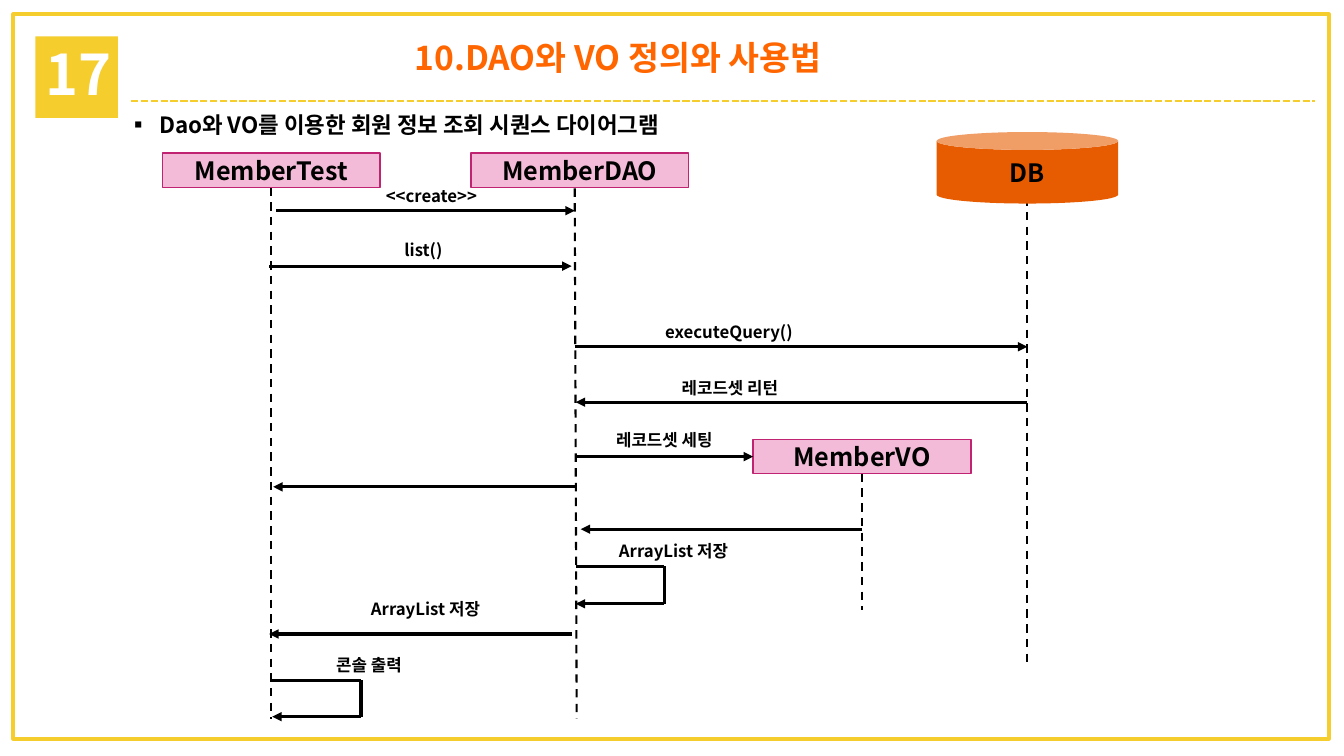
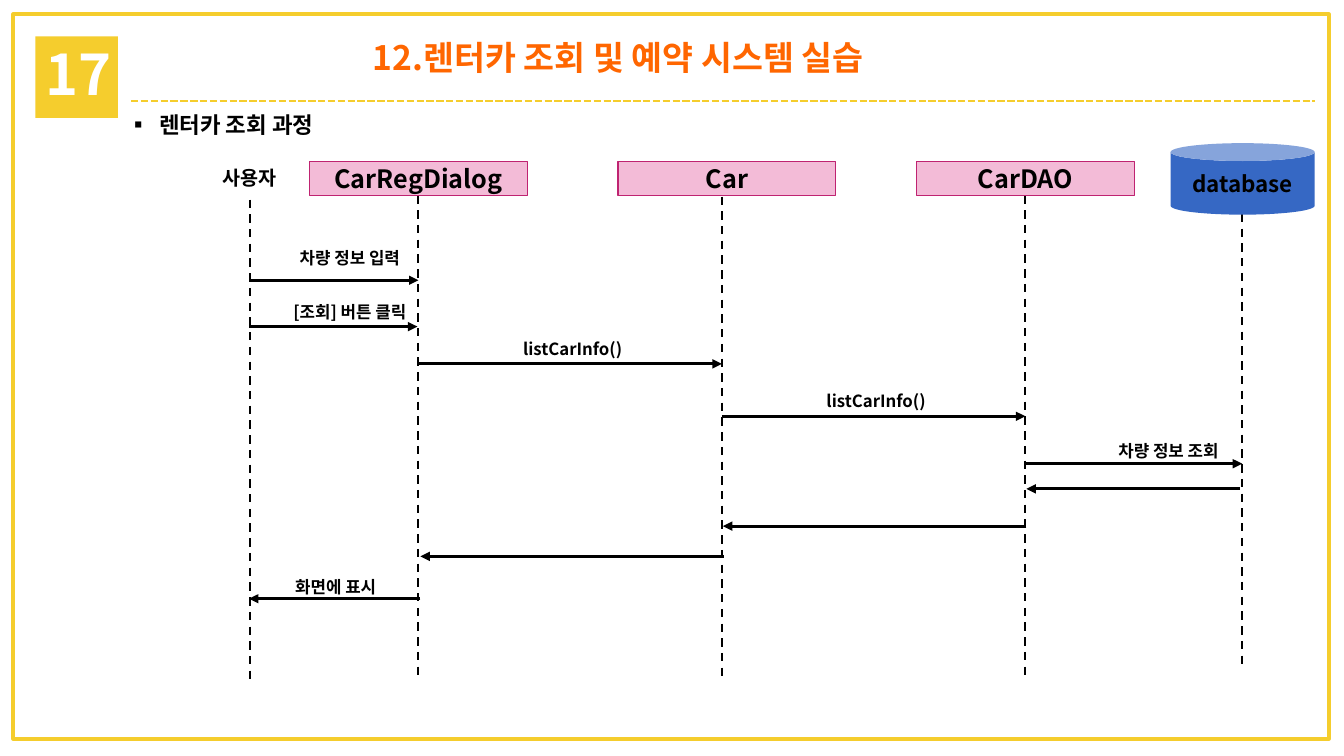
from lxml import etree
from pptx import Presentation
from pptx.dml.color import RGBColor
from pptx.enum.dml import MSO_LINE_DASH_STYLE as Dash
from pptx.enum.shapes import MSO_CONNECTOR as Connector, MSO_SHAPE as Preset
from pptx.enum.text import MSO_ANCHOR as Anchor, MSO_AUTO_SIZE as AutoSize, PP_ALIGN as Align
from pptx.oxml.ns import qn
from pptx.util import Inches, Pt

COLORS = {
    "yellow": "F5CD2D", "title": "FF6600", "black": "000000", "white": "FFFFFF",
    "pink": "F3BBD7", "magenta": "BF2371", "orange": "E75C01", "blue": "3668C4",
}
FONT = "Noto Sans CJK KR"
CHAPTER = "17"
BOX_WIDTH, BOX_HEIGHT = 2.16, 0.34
CAN_HEIGHT = 0.71
LABEL_WIDTH, LABEL_HEIGHT = 2.96, 0.3
LOOP_WIDTH = 0.88
TOLERANCE = 0.011

# boxes: name, left, top, lifeline start, lifeline end
# cans: name, left, top, width, color, text size, lifeline start, lifeline end
# messages: from x, to x, y, label, label left, label top
# self_calls: x, top, bottom, label, label left, label top
DIAGRAMS = [
    {
        "title": "10.DAO와 VO 정의와 사용법",
        "bullet": "Dao와 VO를 이용한 회원 정보 조회 시퀀스 다이어그램",
        "boxes": [
            ("MemberTest", 1.61, 1.52, (2.69, 1.87), (2.69, 7.13)),
            ("MemberDAO", 4.67, 1.52, (5.7, 1.87), (5.72, 7.13)),
            ("MemberVO", 7.47, 4.36, (8.55, 4.7), (8.55, 6.05)),
        ],
        "cans": [("DB", 9.29, 1.31, 1.8, "orange", 18, (10.19, 1.81), (10.19, 6.6))],
        "actors": [],
        "messages": [
            (2.74, 5.7, 2.09, "<<create>>", 2.8, 1.79),
            (2.67, 5.67, 2.64, "list()", 2.72, 2.33),
            (5.7, 10.19, 3.44, "executeQuery()", 5.75, 3.14),
            (10.19, 5.71, 3.99, "레코드셋 리턴", 5.76, 3.7),
            (5.71, 7.47, 4.53, "레코드셋 세팅", 5.11, 4.21),
            (5.72, 2.71, 4.83, None, None, None),
            (8.55, 5.76, 5.25, None, None, None),
            (5.67, 2.67, 6.29, "ArrayList 저장", 2.74, 5.89),
        ],
        "self_calls": [
            (5.71, 5.62, 5.99, "ArrayList 저장", 5.2, 5.32),
            (2.7, 6.75, 7.11, "콘솔 출력", 2.18, 6.45),
        ],
    },
    {
        "title": "12.렌터카 조회 및 예약 시스템 실습",
        "bullet": "렌터카 조회 과정",
        "boxes": [
            ("CarRegDialog", 3.07, 1.6, (4.15, 1.95), (4.15, 6.74)),
            ("Car", 6.13, 1.6, (7.16, 1.95), (7.16, 6.74)),
            ("CarDAO", 9.09, 1.6, (10.17, 1.94), (10.17, 6.73)),
        ],
        "cans": [("database", 11.61, 1.42, 1.43, "blue", 16, (12.32, 1.83), (12.32, 6.62))],
        "actors": [("사용자", 1.77, 1.6, (2.48, 1.98), (2.48, 6.77))],
        "messages": [
            (2.48, 4.15, 2.78, "차량 정보 입력", 1.99, 2.41),
            (2.47, 4.14, 3.24, "[조회] 버튼 클릭", 1.99, 2.94),
            (4.15, 7.16, 3.61, "listCarInfo()", 4.2, 3.31),
            (7.16, 10.17, 4.13, "listCarInfo()", 7.21, 3.83),
            (10.18, 12.32, 4.6, "차량 정보 조회", 10.11, 4.32),
            (12.3, 10.18, 4.85, None, None, None),
            (10.18, 7.17, 5.22, None, None, None),
            (7.18, 4.17, 5.52, None, None, None),
            (4.17, 2.47, 5.94, "화면에 표시", 1.85, 5.67),
        ],
        "self_calls": [],
    },
]


def rgb(name):
    return RGBColor.from_string(COLORS[name])


def write(shape, text, size, color="black", align=Align.CENTER):
    shape.text_frame.text = text
    paragraph = shape.text_frame.paragraphs[0]
    paragraph.alignment = align
    for run in paragraph.runs:
        run.font.name = FONT
        run.font.size = Pt(size)
        run.font.bold = True
        run.font.color.rgb = rgb(color)
        latin = run.font._element.find(qn("a:latin"))
        east_asian = etree.Element(qn("a:ea"), typeface=FONT)
        latin.addnext(east_asian)
    return paragraph


def add_text(slide, text, left, top, width, height, size, color="black", align=Align.CENTER):
    box = slide.shapes.add_textbox(Inches(left), Inches(top), Inches(width), Inches(height))
    box.text_frame.word_wrap = True
    box.text_frame.auto_size = AutoSize.SHAPE_TO_FIT_TEXT
    return write(box, text, size, color, align)


def add_shape(slide, preset, left, top, width, height, fill=None, line=None, weight=1):
    shape = slide.shapes.add_shape(preset, Inches(left), Inches(top), Inches(width), Inches(height))
    shape.shadow.inherit = False
    if fill:
        shape.fill.solid()
        shape.fill.fore_color.rgb = rgb(fill)
    else:
        shape.fill.background()
    if line:
        shape.line.color.rgb = rgb(line)
        shape.line.width = Pt(weight)
    else:
        shape.line.fill.background()
    shape.text_frame.vertical_anchor = Anchor.MIDDLE
    return shape


def add_line(slide, start, end, weight=2.25, color="black", dash=None, arrow=False):
    line = slide.shapes.add_connector(Connector.STRAIGHT, *map(Inches, (*start, *end)))
    line.line.color.rgb = rgb(color)
    line.line.width = Pt(weight)
    if dash:
        line.line.dash_style = dash
    if arrow:
        etree.SubElement(line.line._get_or_add_ln(), qn("a:tailEnd"), type="triangle")
    etree.SubElement(line._element.spPr, qn("a:effectLst"))
    return line


def add_lifeline(slide, start, end):
    return add_line(slide, start, end, 1.5, dash=Dash.DASH)


def add_label(slide, text, left, top):
    if text:
        add_text(slide, text, left, top, LABEL_WIDTH, LABEL_HEIGHT, 12)


def add_bullet(slide, text):
    paragraph = add_text(slide, text, 1.17, 1.05, 10.48, 0.37, 16, align=Align.LEFT)
    properties = paragraph._p.get_or_add_pPr()
    properties.set("marL", str(Inches(0.31)))
    properties.set("indent", str(-Inches(0.31)))
    etree.SubElement(properties, qn("a:buFont"), typeface=FONT)
    etree.SubElement(properties, qn("a:buChar"), char="▪")


def add_page(slide, title):
    add_shape(slide, Preset.RECTANGLE, 0.13, 0.14, 13.05, 7.19, line="yellow", weight=2.5)
    add_shape(slide, Preset.RECTANGLE, 0.35, 0.36, 0.82, 0.81, fill="yellow")
    add_text(slide, CHAPTER, 0.35, 0.34, 0.97, 0.77, 40, "white", Align.LEFT)
    add_line(slide, (1.3, 1), (13.04, 1), 1.75, "yellow", Dash.SQUARE_DOT)
    add_text(slide, title, 1.43, 0.32, 9.4, 0.5, 24, "title")


def add_participants(slide, diagram):
    left_sides = []
    for name, left, top, start, end in diagram["boxes"]:
        lifeline = add_lifeline(slide, start, end)
        box = add_shape(slide, Preset.RECTANGLE, left, top, BOX_WIDTH, BOX_HEIGHT, "pink", "magenta")
        write(box, name, 18)
        if abs(left + BOX_WIDTH / 2 - start[0]) < TOLERANCE:
            lifeline.begin_connect(box, 2)
        left_sides.append((left, top + BOX_HEIGHT / 2, box))
    for name, left, top, width, color, size, start, end in diagram["cans"]:
        add_lifeline(slide, start, end)
        can = add_shape(slide, Preset.CAN, left, top, width, CAN_HEIGHT, color)
        write(can, name, size)
    for name, left, top, start, end in diagram["actors"]:
        add_lifeline(slide, start, end)
        add_text(slide, name, left, top, 1.41, 0.34, 14)
    return left_sides


def add_messages(slide, diagram, left_sides):
    for start, end, y, label, label_left, label_top in diagram["messages"]:
        arrow = add_line(slide, (start, y), (end, y), arrow=True)
        for x, middle, box in left_sides:
            if abs(x - end) < TOLERANCE and abs(middle - y) < TOLERANCE:
                arrow.end_connect(box, 1)
        add_label(slide, label, label_left, label_top)
    for x, top, bottom, label, label_left, label_top in diagram["self_calls"]:
        corners = [(x, top), (x + LOOP_WIDTH, top), (x + LOOP_WIDTH, bottom), (x, bottom)]
        for index, (start, end) in enumerate(zip(corners, corners[1:])):
            add_line(slide, start, end, arrow=index == 2)
        add_label(slide, label, label_left, label_top)


def main():
    presentation = Presentation()
    presentation.slide_width = Inches(13.33)
    presentation.slide_height = Inches(7.5)
    for diagram in DIAGRAMS:
        slide = presentation.slides.add_slide(presentation.slide_layouts[6])
        add_page(slide, diagram["title"])
        add_bullet(slide, diagram["bullet"])
        left_sides = add_participants(slide, diagram)
        add_messages(slide, diagram, left_sides)
    presentation.save("out.pptx")


if __name__ == "__main__":
    main()
